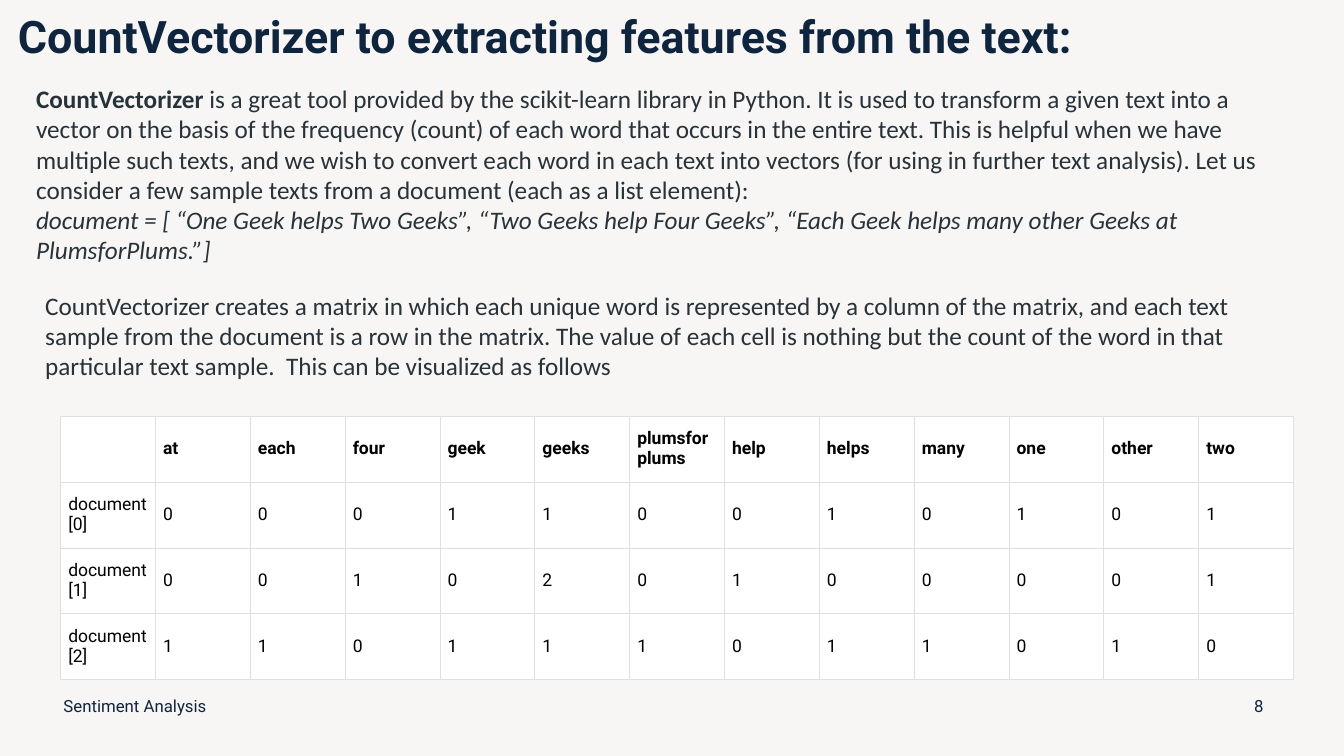
from lxml import etree
from pptx import Presentation
from pptx.dml.color import RGBColor
from pptx.enum.text import MSO_ANCHOR, PP_ALIGN
from pptx.oxml.ns import qn
from pptx.util import Cm, Pt

TOP, MIDDLE = MSO_ANCHOR.TOP, MSO_ANCHOR.MIDDLE
LEFT, CENTER = PP_ALIGN.LEFT, PP_ALIGN.CENTER

PAPER = RGBColor(0xF8, 0xF6, 0xF5)
NAVY = RGBColor(0x0F, 0x25, 0x3E)
SLATE = RGBColor(0x27, 0x32, 0x39)
BLACK = RGBColor(0, 0, 0)
WHITE = RGBColor(0xFF, 0xFF, 0xFF)
GRID = RGBColor(0xDF, 0xDF, 0xDF)

HEADING_FONT, BODY_FONT = "Roboto", "Calibri"

INTRO = [
    [("CountVectorizer ", True, False),
     ("is a great tool provided by the scikit-learn library in Python. It is used to "
      "transform a given text into a vector on the basis of the frequency (count) of each "
      "word that occurs in the entire text. This is helpful when we have multiple such "
      "texts, and we wish to convert each word in each text into vectors (for using in "
      "further text analysis). Let us consider a few sample texts from a document (each as "
      "a list element):", False, False)],
    [("document = [ “One Geek helps Two Geeks”, “Two Geeks help Four Geeks”, “Each Geek "
      "helps many other Geeks at PlumsforPlums.”]", False, True)],
]
MATRIX_NOTE = (
    "CountVectorizer creates a matrix in which each unique word is represented by a column "
    "of the matrix, and each text sample from the document is a row in the matrix. The value "
    "of each cell is nothing but the count of the word in that particular text sample.  "
    "This can be visualized as follows"
)
WORDS = ["at", "each", "four", "geek", "geeks", "plumsforplums", "help", "helps",
         "many", "one", "other", "two"]
COUNTS = [
    [0, 0, 0, 1, 1, 0, 0, 1, 0, 1, 0, 1],
    [0, 0, 1, 0, 2, 0, 1, 0, 0, 0, 0, 1],
    [1, 1, 0, 1, 1, 1, 0, 1, 1, 0, 1, 0],
]


def add_run(p, text, font, size, color, bold=False, italic=False):
    r = p.add_run()
    r.text = text
    r.font.name = font
    r.font.size = Pt(size)
    r.font.color.rgb = color
    r.font.bold = bold
    r.font.italic = italic


def add_text(s, box, paragraphs, font, size, color, anchor=TOP, align=LEFT, spacing=1.0):
    """Each paragraph is a list of (text, bold, italic) runs."""
    tf = s.shapes.add_textbox(*(Cm(v) for v in box)).text_frame
    tf.word_wrap = True
    tf.vertical_anchor = anchor
    for i, runs in enumerate(paragraphs):
        p = tf.paragraphs[0] if i == 0 else tf.add_paragraph()
        p.alignment = align
        p.line_spacing = spacing
        for text, bold, italic in runs:
            add_run(p, text, font, size, color, bold, italic)


def style_cell(cell):
    tc_pr = cell._tc.get_or_add_tcPr()
    for side in ("a:lnL", "a:lnR", "a:lnT", "a:lnB"):
        ln = etree.SubElement(tc_pr, qn(side), w=str(Pt(0.18)))
        fill = etree.SubElement(ln, qn("a:solidFill"))
        etree.SubElement(fill, qn("a:srgbClr"), val=str(GRID))
    cell.fill.solid()
    cell.fill.fore_color.rgb = WHITE
    cell.vertical_anchor = MIDDLE
    cell.margin_left = cell.margin_right = Cm(0.2)
    cell.margin_top = cell.margin_bottom = Cm(0.3)


def add_count_table(s, left, top, col_width, row_height):
    rows = [["", *WORDS]]
    rows += [[f"document[{i}]", *counts] for i, counts in enumerate(COUNTS)]
    n_rows, n_cols = len(rows), len(rows[0])
    table = s.shapes.add_table(n_rows, n_cols, Cm(left), Cm(top),
                               Cm(col_width * n_cols), Cm(row_height * n_rows)).table
    for column in table.columns:
        column.width = Cm(col_width)
    for i, values in enumerate(rows):
        table.rows[i].height = Cm(row_height)
        for j, value in enumerate(values):
            cell = table.cell(i, j)
            style_cell(cell)
            if value != "":
                add_run(cell.text_frame.paragraphs[0], str(value), HEADING_FONT, 12.5,
                        BLACK, bold=i == 0)


def main():
    prs = Presentation()
    prs.slide_width, prs.slide_height = Cm(33.87), Cm(19.05)
    s = prs.slides.add_slide(prs.slide_layouts[6])
    s.background.fill.solid()
    s.background.fill.fore_color.rgb = PAPER

    # Title
    add_text(s, (0.2, 0, 29.21, 1.98),
             [[("CountVectorizer to extracting features from the text:", True, False)]],
             HEADING_FONT, 32, NAVY, MIDDLE, spacing=0.9)

    # Explanation
    add_text(s, (0.66, 1.98, 31.9, 6.4), INTRO, BODY_FONT, 18, SLATE)
    add_text(s, (0.89, 7.19, 32.33, 2.57), [[(MATRIX_NOTE, False, False)]],
             BODY_FONT, 18, SLATE)

    # Word counts
    add_count_table(s, 1.52, 10.48, 2.39, 1.66)

    # Footer and slide number
    add_text(s, (1.35, 17.27, 11.43, 1.02), [[("Sentiment Analysis", False, False)]],
             HEADING_FONT, 12, NAVY, MIDDLE)
    add_text(s, (31.09, 17.27, 1.27, 1.02), [[("8", False, False)]],
             HEADING_FONT, 12, NAVY, MIDDLE, CENTER)

    prs.save("out.pptx")


if __name__ == "__main__":
    main()
